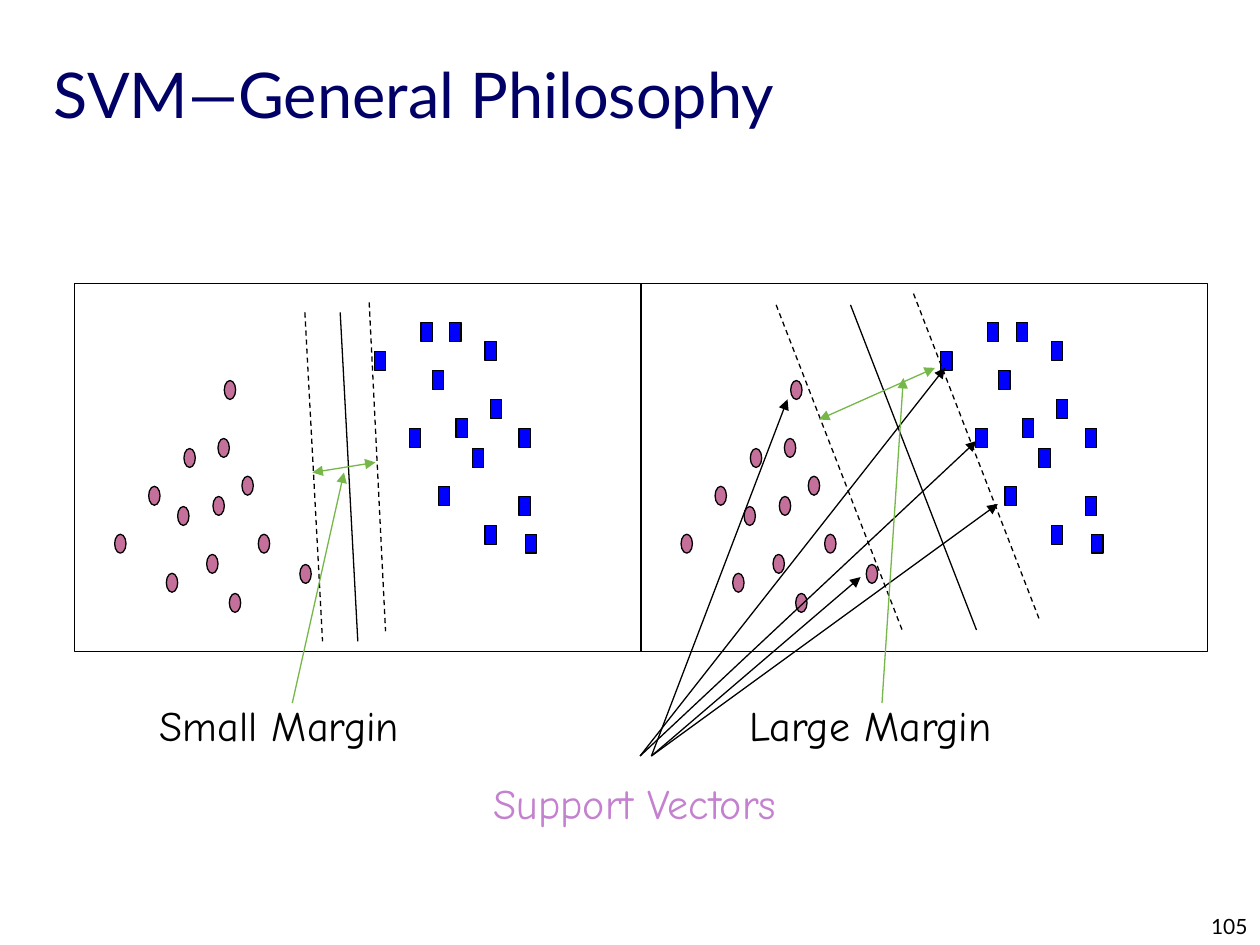
"""Build the SVM slide comparing a small margin with a large margin."""
from pptx import Presentation
from pptx.dml.color import RGBColor
from pptx.enum.dml import MSO_LINE
from pptx.enum.shapes import MSO_CONNECTOR, MSO_SHAPE
from pptx.enum.text import MSO_ANCHOR, MSO_AUTO_SIZE, PP_ALIGN
from pptx.oxml.ns import qn
from pptx.util import Inches, Pt
from lxml.etree import SubElement

COLORS = {"title": "000066", "ink": "000000", "circle": "C4709A", "square": "0000FF",
          "support": "C481CF", "margin": "76B749"}
FONTS = {"title": {"name": "Lato", "size": Pt(36)},
         "number": {"name": "Lato", "size": Pt(12)},
         "label": {"name": "Comic Neue", "size": Pt(24)}}
FITTED = {"word_wrap": False, "auto_size": MSO_AUTO_SIZE.SHAPE_TO_FIT_TEXT}
BOTTOM = {"word_wrap": True, "vertical_anchor": MSO_ANCHOR.BOTTOM}


def add_line(parent, start, end, color="ink", dashed=False, arrows=()):
    line = parent.shapes.add_connector(
        MSO_CONNECTOR.STRAIGHT, *[Inches(value) for value in (*start, *end)])
    line.line.color.rgb = RGBColor.from_string(COLORS[color])
    line.line.width = Pt(0.75)
    if dashed:
        line.line.dash_style = MSO_LINE.DASH
    properties = line._element.spPr
    for arrow in arrows:
        SubElement(properties.find(qn("a:ln")), qn(f"a:{arrow}"), type="triangle")
    SubElement(properties, qn("a:effectLst"))


def add_text(parent, words, place, font, color, frame_format, align=PP_ALIGN.LEFT):
    frame = parent.shapes.add_textbox(*[Inches(value) for value in place]).text_frame
    for key, value in frame_format.items():
        setattr(frame, key, value)
    paragraph = frame.paragraphs[0]
    paragraph.alignment = align
    run = paragraph.add_run()
    run.text = words
    for key, value in FONTS[font].items():
        setattr(run.font, key, value)
    run.font.color.rgb = RGBColor.from_string(COLORS[color])


deck = Presentation()
deck.slide_width, deck.slide_height = Inches(10), Inches(7.5)
slide = deck.slides.add_slide(deck.slide_layouts[6])

add_text(slide, "105", (7.92, 7.08, 2.08, 0.42), "number", "ink", BOTTOM, PP_ALIGN.RIGHT)
add_text(slide, "SVM—General Philosophy", (0.33, 0.42, 9.42, 0.67), "title", "title", BOTTOM)

MARK_SIZE = (0.09, 0.15)
CIRCLES = [(1.32, 4.55), (1.41, 4.02), (0.91, 4.24), (1.18, 3.86), (1.64, 4.4),
           (1.46, 3.56), (1.69, 3.94), (1.73, 3.48), (1.92, 3.78), (2.05, 4.24),
           (1.82, 4.71), (2.38, 4.48), (1.78, 3.02)]
SQUARES = [(3.25, 3.4), (2.97, 2.79), (3.34, 2.56), (3.48, 3.86), (3.43, 2.94),
           (3.62, 3.32), (3.57, 2.56), (3.85, 2.71), (3.75, 3.56), (3.89, 3.17),
           (3.85, 4.17), (4.12, 3.4), (4.12, 3.94), (4.17, 4.24)]
PANEL_SHAPES = (
    [(MSO_SHAPE.OVAL, "circle", point, MARK_SIZE) for point in CIRCLES]
    + [(MSO_SHAPE.RECTANGLE, "square", point, MARK_SIZE) for point in SQUARES]
    + [(MSO_SHAPE.RECTANGLE, None, (0.59, 2.25), (4.5, 2.92))])
SMALL_BOUNDARIES = [((2.93, 2.4), (3.06, 5.01), True),
                    ((2.42, 2.48), (2.56, 5.09), True),
                    ((2.7, 2.48), (2.84, 5.09), False)]
LARGE_BOUNDARIES = [((6.16, 2.42), (7.16, 5), True),
                    ((7.25, 2.33), (8.25, 4.92), True),
                    ((6.75, 2.42), (7.75, 5), False)]

for shift, boundaries in ((0, SMALL_BOUNDARIES), (4.495, LARGE_BOUNDARIES)):
    panel = slide.shapes.add_group_shape()
    for kind, fill, (left, top), size in PANEL_SHAPES:
        mark = panel.shapes.add_shape(
            kind, *[Inches(value) for value in (left + shift, top, *size)])
        mark.shadow.inherit = False
        mark.line.color.rgb = RGBColor.from_string(COLORS["ink"])
        mark.line.width = Pt(0.75)
        if fill:
            mark.fill.solid()
            mark.fill.fore_color.rgb = RGBColor.from_string(COLORS[fill])
        else:
            mark.fill.background()
    for start, end, dashed in boundaries:
        add_line(panel, start, end, dashed=dashed)

support = slide.shapes.add_group_shape()
add_text(support, "Support Vectors", (3.82, 6.12, 2.55, 0.5), "label", "support", FITTED)
for start_x, target in ((5.08, (7.5, 2.92)), (5.08, (7.75, 3.5)), (5.17, (7.92, 4)),
                        (5.17, (6.83, 4.58)), (5.17, (6.25, 3.17))):
    add_line(support, (start_x, 6), target, arrows=["tailEnd"])

MARGINS = [
    ("Small Margin", (1.17, 5.5, 2.1, 0.5), ((2.48, 3.75), (2.98, 3.67)), ((2.32, 5.58), (2.73, 3.75))),
    ("Large Margin", (5.85, 5.5, 2.12, 0.5), ((6.5, 3.33), (7.42, 2.92)), ((7, 5.58), (7.17, 3)))]
for words, place, span, pointer in MARGINS:
    margin = slide.shapes.add_group_shape()
    add_text(margin, words, place, "label", "ink", FITTED)
    add_line(margin, *span, color="margin", arrows=["headEnd", "tailEnd"])
    add_line(margin, *pointer, color="margin", arrows=["tailEnd"])

deck.save("out.pptx")
